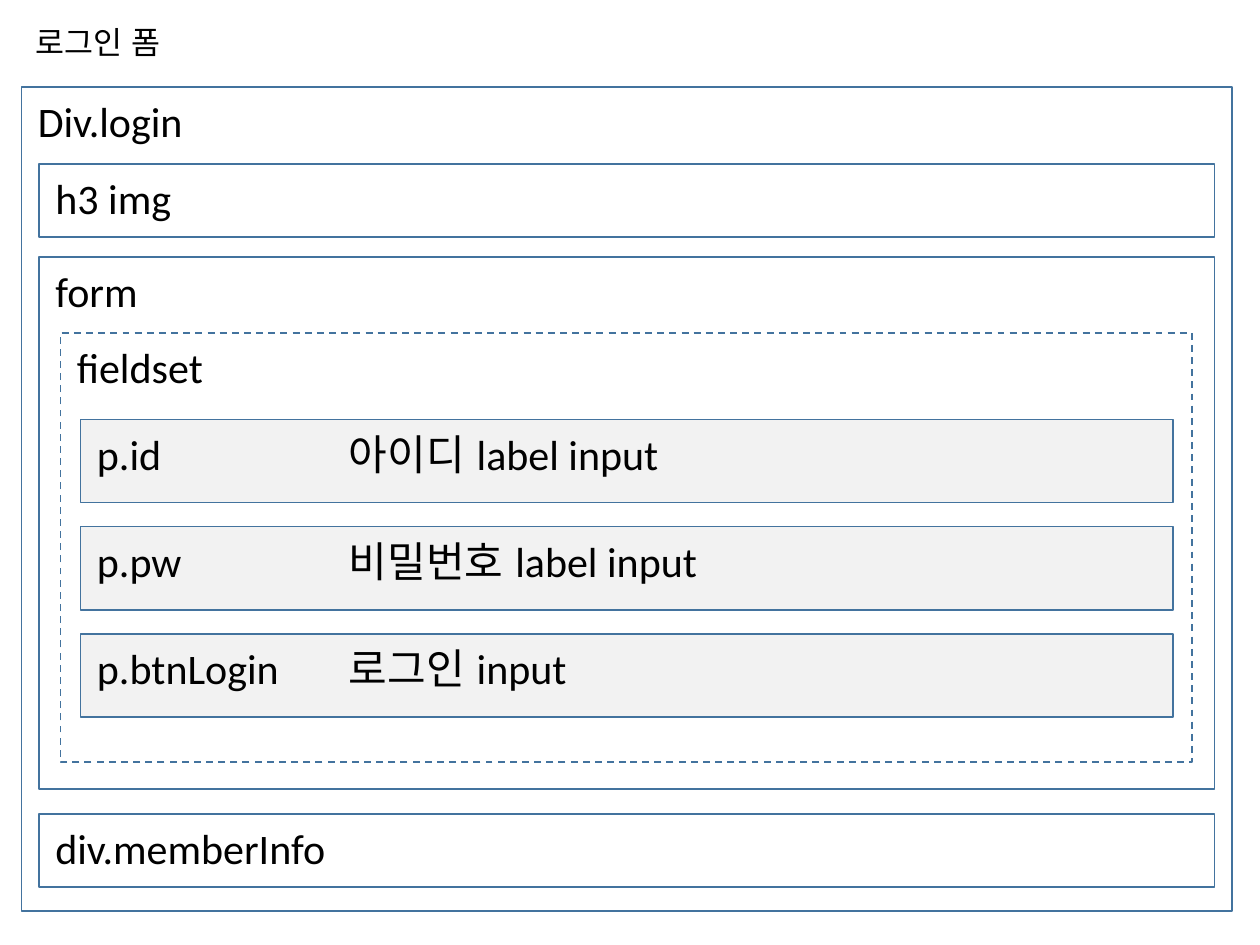
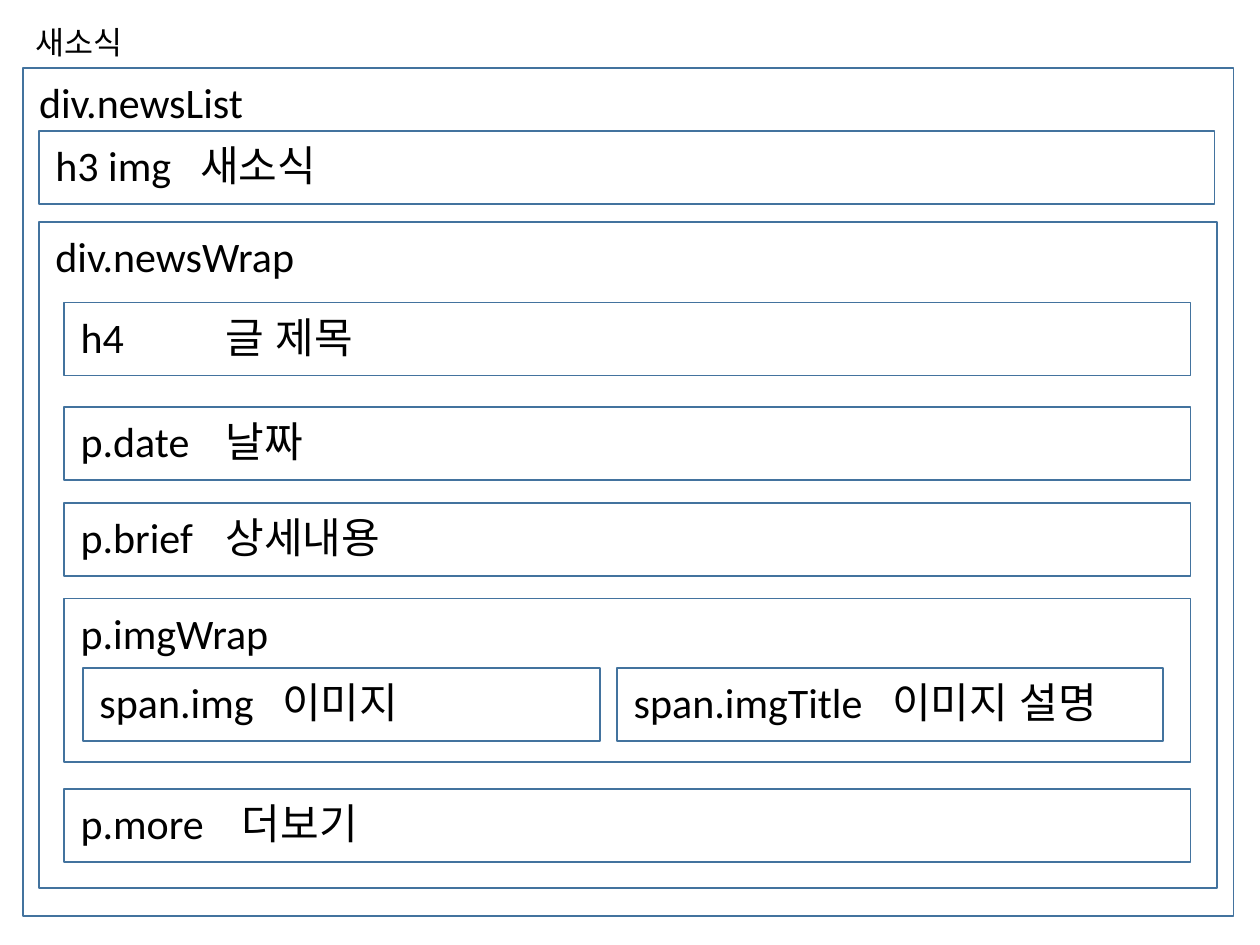
from dataclasses import dataclass

import pptx
import pptx.dml.color
import pptx.enum.dml
import pptx.enum.lang
import pptx.enum.shapes
import pptx.enum.text
import pptx.oxml.ns
import pptx.util
from lxml import etree
from pptx.dml.color import RGBColor

PX = 9144  # EMU in one px, 100 px to the inch

INK = RGBColor(0x00, 0x00, 0x00)
PAPER = RGBColor(0xFF, 0xFF, 0xFF)
ROW_GREY = RGBColor(0xF2, 0xF2, 0xF2)
OUTLINE = RGBColor(0x43, 0x73, 0x9E)

BAR_HEIGHT = 58  # one-line box
ROW_HEIGHT = 66  # grey field row

TOP_LEFT = {
    "vertical_anchor": pptx.enum.text.MSO_ANCHOR.TOP,
    "auto_size": pptx.enum.text.MSO_AUTO_SIZE.NONE,
}
BOX_FRAME = TOP_LEFT | {
    "word_wrap": True,
    "margin_left": 13 * PX,
    "margin_right": 13 * PX,
    "margin_top": 7 * PX,
    "margin_bottom": 7 * PX,
}
TITLE_FRAME = TOP_LEFT | {
    "word_wrap": False,
    "margin_left": 10 * PX,
    "margin_right": 10 * PX,
    "margin_top": 5 * PX,
    "margin_bottom": 5 * PX,
}
FONT = {
    "name": "Calibri",
    "bold": False,
    "language_id": pptx.enum.lang.MSO_LANGUAGE_ID.KOREAN,
}


@dataclass(frozen=True)
class Box:
    """One element of the page markup; tab is where its description starts."""
    text: str
    left: int
    top: int
    width: int
    height: int = BAR_HEIGHT
    tab: int = 0
    fill: RGBColor = PAPER
    dashed: bool = False


@dataclass(frozen=True)
class Page:
    title: str
    title_width: int
    boxes: list[Box]


def apply(target: object, values: dict) -> None:
    for name, value in values.items():
        setattr(target, name, value)


def write(frame, text: str, size: int, frame_format: dict) -> None:
    apply(frame, frame_format)
    frame.text = text
    paragraph = frame.paragraphs[0]
    paragraph.alignment = pptx.enum.text.PP_ALIGN.LEFT
    font = paragraph.runs[0].font
    apply(font, FONT | {"size": pptx.util.Pt(size)})
    font.color.rgb = INK


def add_tab_stop(paragraph, position: int) -> None:
    qn = pptx.oxml.ns.qn
    properties = paragraph._p.get_or_add_pPr()
    stops = etree.SubElement(properties, qn("a:tabLst"))
    etree.SubElement(stops, qn("a:tab"), pos=str(position * PX), algn="l")


def draw_box(slide, box: Box) -> None:
    shape = slide.shapes.add_shape(
        pptx.enum.shapes.MSO_SHAPE.RECTANGLE,
        *(length * PX for length in (box.left, box.top, box.width, box.height)))
    shape.shadow.inherit = False
    shape.fill.solid()
    shape.fill.fore_color.rgb = box.fill
    shape.line.color.rgb = OUTLINE
    shape.line.width = pptx.util.Pt(1)
    if box.dashed:
        shape.line.dash_style = pptx.enum.dml.MSO_LINE.DASH
    write(shape.text_frame, box.text, 24, BOX_FRAME)
    if box.tab:
        add_tab_stop(shape.text_frame.paragraphs[0], box.tab)


def draw_page(deck, page: Page) -> None:
    slide = deck.slides.add_slide(deck.slide_layouts.get_by_name("Title Only"))
    title = slide.shapes.title
    apply(title, {"left": 18 * PX, "top": 13 * PX,
                  "width": page.title_width * PX, "height": 40 * PX})
    write(title.text_frame, page.title, 18, TITLE_FRAME)
    for box in page.boxes:
        draw_box(slide, box)


def stack(texts: list[str], left: int, top: int, width: int, step: int,
          **options) -> list[Box]:
    """Equal boxes set below each other at a fixed step."""
    return [Box(text, left, top + i * step, width, **options)
            for i, text in enumerate(texts)]


# Login form: nested containers, then the field rows
LOGIN = Page("로그인 폼", 127, [
    Box("Div.login", 17, 69, 961, 654),
    Box("h3 img", 31, 130, 933),
    Box("form", 31, 204, 933, 422),
    Box("div.memberInfo", 31, 646, 933),
    Box("fieldset", 48, 264, 898, 341, dashed=True),
    *stack(["p.id\t아이디 label input",
            "p.pw\t비밀번호 label input",
            "p.btnLogin\t로그인 input"],
           64, 333, 867, 85, height=ROW_HEIGHT, tab=200, fill=ROW_GREY),
])

# News: list container, article parts, image with caption
NEWS = Page("새소식", 96, [
    Box("div.newsList", 18, 54, 961, 673),
    Box("h3 img\t새소식", 31, 104, 933, tab=115),
    Box("div.newsWrap", 31, 176, 935, 529),
    Box("h4\t글 제목", 51, 240, 894, tab=115),
    *stack(["p.date\t날짜", "p.brief\t상세내용"], 51, 323, 894, 76, tab=115),
    Box("p.imgWrap", 51, 475, 894, 130),
    Box("span.img\t이미지", 66, 530, 410, tab=145),
    Box("span.imgTitle\t이미지 설명", 490, 530, 433, tab=205),
    Box("p.more\t더보기", 51, 626, 894, tab=128),
])


def main() -> None:
    deck = pptx.Presentation()
    deck.slide_width = 1000 * PX
    deck.slide_height = 750 * PX
    for page in (LOGIN, NEWS):
        draw_page(deck, page)
    deck.save("out.pptx")


if __name__ == "__main__":
    main()
